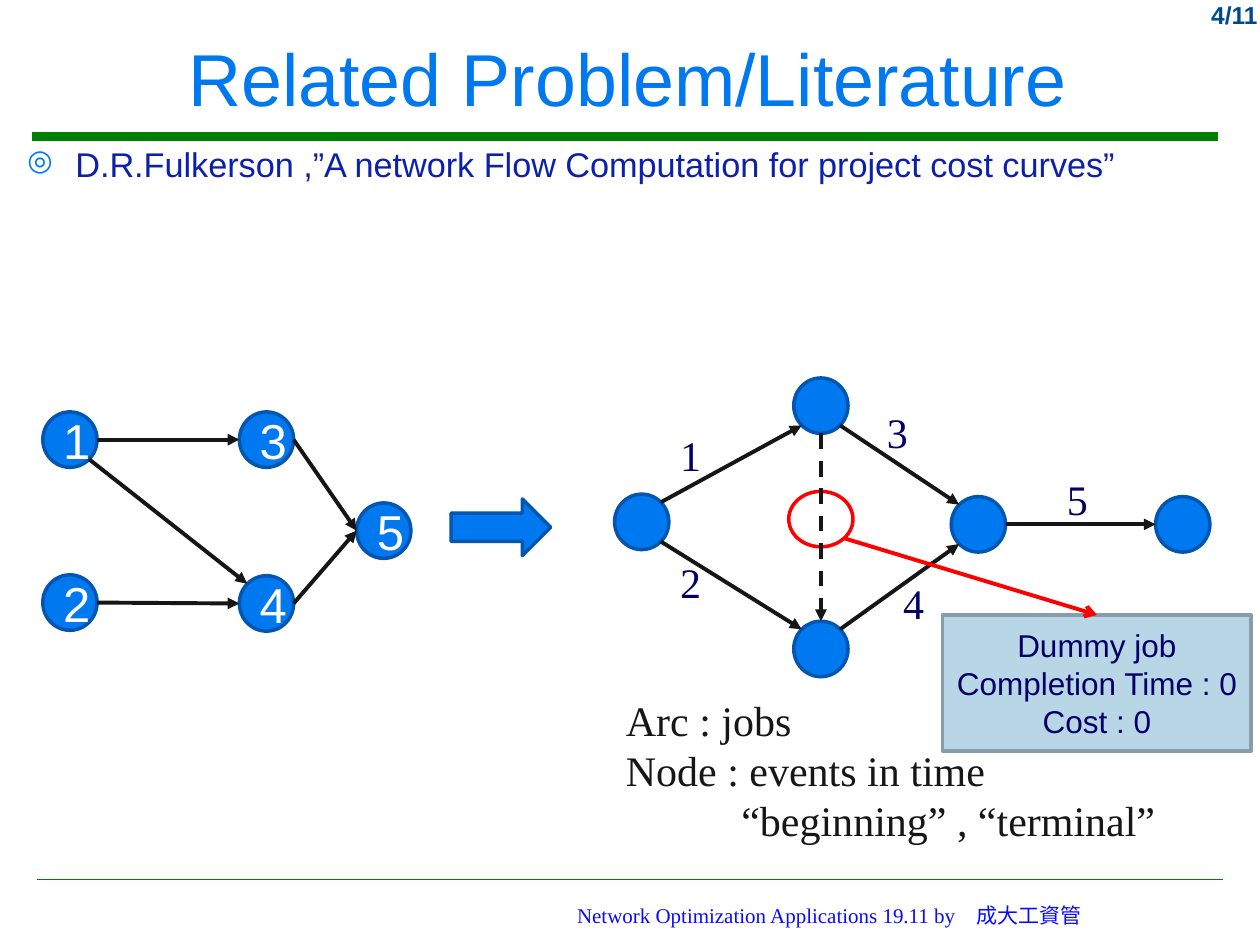
from dataclasses import dataclass

from lxml import etree
from pptx import Presentation
from pptx import util as u
from pptx.dml import color
from pptx.enum import dml, shapes, text
from pptx.oxml import ns


@dataclass(frozen=True)
class Theme:
    blue: str = "0078F0"
    blue_edge: str = "0056B0"
    green: str = "008000"
    ink: str = "161616"
    navy: str = "000066"
    body: str = "0D20AB"
    footer: str = "0A0AFF"
    page: str = "004992"
    red: str = "FF0000"
    panel: str = "B9D6E7"
    panel_edge: str = "879DAA"
    white: str = "FFFFFF"
    sans: str = "Arial"
    serif: str = "Times New Roman"
    title_size: float = 42
    node_size: float = 28
    label_size: float = 24
    body_size: float = 19.6
    panel_size: float = 18
    page_size: float = 14
    footer_size: float = 12


theme = Theme()
rgb = color.RGBColor.from_string
center, left, right = text.PP_ALIGN.CENTER, text.PP_ALIGN.LEFT, text.PP_ALIGN.RIGHT
top, middle = text.MSO_ANCHOR.TOP, text.MSO_ANCHOR.MIDDLE

presentation = Presentation()
presentation.slide_width, presentation.slide_height = u.Pt(720), u.Pt(540)
slide = presentation.slides.add_slide(presentation.slide_layouts[6])


def write(shape, lines, name, size, ink, alignment=left, anchor=top, bold=False):
    frame = shape.text_frame
    for key, value in {"word_wrap": True, "vertical_anchor": anchor}.items():
        setattr(frame, key, value)
    frame.text = "\n".join(lines)
    for paragraph in frame.paragraphs:
        paragraph.alignment = alignment
        font = paragraph.runs[0].font
        for key, value in {"name": name, "size": u.Pt(size), "bold": bold}.items():
            setattr(font, key, value)
        font.color.rgb = rgb(ink)
    return frame


def draw_line(begin, end, ink, width, head=None, dash=None):
    ends = [u.Pt(value) for value in (*begin, *end)]
    connector = slide.shapes.add_connector(shapes.MSO_CONNECTOR.STRAIGHT, *ends)
    connector.line.color.rgb = rgb(ink)
    for key, value in {"width": u.Pt(width), "dash_style": dash}.items():
        setattr(connector.line, key, value)
    properties = connector.element.spPr
    if head:
        outline = properties.find(ns.qn("a:ln"))
        etree.SubElement(outline, ns.qn("a:tailEnd"), type=head)
    etree.SubElement(properties, ns.qn("a:effectLst"))
    return connector


draw_line((18, 77.8), (696.2, 77.8), theme.green, 5.25)
draw_line((20.9, 502.6), (699.1, 502.6), theme.green, 1)

text_boxes = [
    ((660.2, -3.6, 65.5, 41), ["4/11"],
     (theme.sans, theme.page_size, theme.page, right, top, True)),
    ((5.8, 5.8, 705.6, 76.3), ["Related Problem/Literature"],
     (theme.sans, theme.title_size, theme.blue, center, middle)),
    ((244, 508.3, 460, 28.8), ["Network Optimization Applications 19.11 by　成大工資管"],
     (theme.serif, theme.footer_size, theme.footer, center, middle)),
    ((350.6, 393.1, 316.8, 93.6),
     ["Arc : jobs", "Node : events in time", "“beginning” , “terminal”"],
     (theme.serif, theme.label_size, theme.ink)),
    ((8.6, 82.8, 691.2, 39.6),
     ["D.R.Fulkerson ,”A network Flow Computation for project cost curves”"],
     (theme.sans, theme.body_size, theme.body)),
]
arc_labels = {"1": (381.6, 241.9), "2": (381.6, 314.6), "3": (499.7, 229),
              "4": (509, 326.2), "5": (602.6, 267.1)}
for label, corner in arc_labels.items():
    text_boxes.append(((*corner, 29.5, 36), [label],
                       (theme.serif, theme.label_size, theme.navy)))
frames = {}
for place, lines, style in text_boxes:
    box = slide.shapes.add_textbox(*[u.Pt(value) for value in place])
    frames[lines[0]] = write(box, lines, *style)

terms = frames["Arc : jobs"].paragraphs[2]
terms._p.get_or_add_pPr().set("marL", str(u.Pt(66)))

reference = frames[text_boxes[4][1][0]].paragraphs[0]
reference.line_spacing = 0.8
bullet = reference._p.get_or_add_pPr()
bullet.set("marL", str(u.Pt(27.4)))
bullet.set("indent", str(u.Pt(-27.4)))
bullet_color = etree.SubElement(bullet, ns.qn("a:buClr"))
etree.SubElement(bullet_color, ns.qn("a:srgbClr"), val=theme.blue)
etree.SubElement(bullet, ns.qn("a:buSzPct"), val="85000")
etree.SubElement(bullet, ns.qn("a:buChar"), char="◎")

node_width, node_height = 31, 31.7
nodes = {"1": (24.5, 235.4), "2": (24.5, 328.5), "3": (136.8, 235.4),
         "4": (136.8, 329), "5": (203.8, 287.4),
         "start": (351.2, 282.4), "upper": (453.6, 216), "lower": (453.6, 355),
         "merge": (543.6, 283.8), "finish": (660.4, 283.8)}
sites = {"N": (0, -1), "S": (0, 1), "W": (-1, 0), "E": (1, 0),
         "NW": (-0.71, -0.71), "NE": (0.71, -0.71),
         "SW": (-0.71, 0.71), "SE": (0.71, 0.71)}
arcs = [("1", "SE", "4", "NW"), ("2", "E", "4", "W"), ("1", "E", "3", "W"),
        ("3", "E", "5", "W"), ("4", "E", "5", "W"),
        ("start", "NE", "upper", "SW"), ("start", "SE", "lower", "NW"),
        ("upper", "S", "lower", "N"), ("upper", "SE", "merge", "NW"),
        ("lower", "NE", "merge", "SW"), ("merge", "E", "finish", "W")]

oval = shapes.MSO_SHAPE.OVAL
figures = [(name, oval, (*corner, node_width, node_height), theme.blue, theme.blue_edge)
           for name, corner in nodes.items()]
figures += [
    ("becomes", shapes.MSO_SHAPE.RIGHT_ARROW, (257.8, 285.1, 56.9, 32.4),
     theme.blue, theme.blue_edge),
    ("dummy ring", oval, (450.7, 280.8, 36.7, 31.7), None, theme.red),
    ("dummy panel", shapes.MSO_SHAPE.RECTANGLE, (538.6, 351.4, 176.4, 77.8),
     theme.panel, theme.panel_edge),
]
drawn = {}
for name, kind, place, fill, edge in figures:
    shape = slide.shapes.add_shape(kind, *[u.Pt(value) for value in place])
    shape.shadow.inherit = False
    if fill:
        shape.fill.solid()
        shape.fill.fore_color.rgb = rgb(fill)
    else:
        shape.fill.background()
    shape.line.color.rgb = rgb(edge)
    shape.line.width = u.Pt(2)
    if name.isdigit():
        write(shape, [name], theme.sans, theme.node_size, theme.white, center, middle)
    drawn[name] = shape

write(drawn["dummy panel"], ["Dummy job", "Completion Time : 0", "Cost : 0"],
      theme.sans, theme.panel_size, theme.navy, center, middle)

for source, source_site, target, target_site in arcs:
    begin, end = [
        (nodes[node][0] + node_width / 2 * (1 + sites[site][0]),
         nodes[node][1] + node_height / 2 * (1 + sites[site][1]))
        for node, site in ((source, source_site), (target, target_site))
    ]
    dash = dml.MSO_LINE.DASH if (source, target) == ("upper", "lower") else None
    draw_line(begin, end, theme.ink, 2.25, "triangle", dash)

pointer = draw_line((482.4, 307.6), (626.8, 351.4), theme.red, 2.25, "arrow")
pointer.end_connect(drawn["dummy panel"], 0)

presentation.save("out.pptx")
